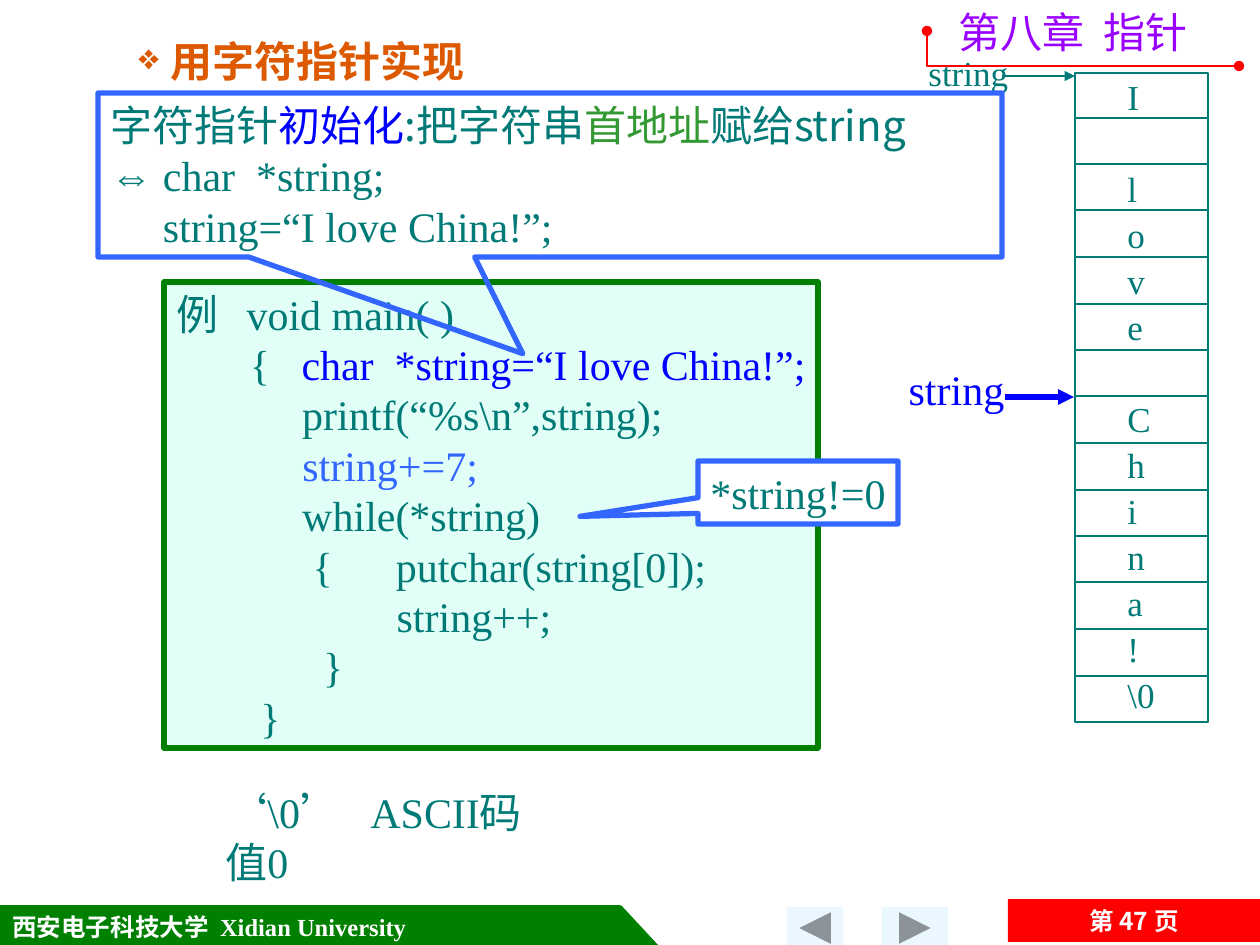
from lxml import etree
from pptx import Presentation, util as u
from pptx.dml.color import RGBColor
from pptx.enum import shapes, text
from pptx.oxml.ns import qn

PX = 914400 / 126
COLORS = {
    "teal": "007A77", "blue": "0000FF", "sky": "3366FF", "green": "008000",
    "leaf": "339933", "mint": "E1FFF7", "ice": "EBF7FF", "red": "FF0000",
    "orange": "DC5900", "purple": "9900FF", "white": "FFFFFF",
}
SERIF, SANS, CJK = "Times New Roman", "Arial", "Noto Sans CJK SC"
SHAPE, ALIGN, ANCHOR = shapes.MSO_SHAPE, text.PP_ALIGN, text.MSO_ANCHOR

CODE = [
    [("例   void main( )", "teal")],
    [("       {   ", "teal"), ("char  *string=“I love China!”;", "blue")],
    [("            printf(“%s\\n”,string);", "teal")],
    [("            ", "teal"), ("string+=7;", "sky")],
    [("            while(*string)", "teal")],
    [("             {      putchar(string[0]);", "teal")],
    [("                     string++;", "teal")],
    [("              }", "teal")],
    [("        }", "teal")],
]
INIT_NOTE = [
    [("字符指针", "teal", CJK), ("初始化", "blue", CJK), (":把字符串", "teal", CJK),
     ("首地址", "leaf", CJK), ("赋给string", "teal", CJK)],
    [("⇔", "teal", SANS), (" char  *string;", "teal")],
    [("     string=“I love China!”;", "teal")],
]
MEMORY = list("I love China!") + ["\\0"]


def px(*values):
    return [u.Emu(round(v * PX)) for v in values]


def rgb(name):
    return RGBColor.from_string(COLORS[name])


def format_run(r, color, font=SERIF, size=24, bold=False):
    r.font.size, r.font.bold, r.font.name = u.Pt(size), bold, font
    r.font.color.rgb = rgb(color)
    # Chinese glyphs use the East Asian font slot
    ea = etree.SubElement(r.font._element, qn("a:ea"))
    ea.set("typeface", CJK)


def write(sp, lines, size=24, bold=False, align=ALIGN.LEFT,
          anchor=ANCHOR.TOP, wrap=True):
    """Fill a shape with lines, each a list of (text, color[, font]) runs."""
    tf = sp.text_frame
    tf.word_wrap, tf.vertical_anchor = wrap, anchor
    for i, runs in enumerate(lines):
        p = tf.paragraphs[0] if i == 0 else tf.add_paragraph()
        p.alignment = align
        for content, *style in runs:
            r = p.add_run()
            r.text = content
            format_run(r, *style, size=size, bold=bold)


def add_label(s, box, content, color, font=SERIF, **style):
    write(s.shapes.add_textbox(*px(*box)), [[(content, color, font)]], **style)


def style_shape(sp, fill=None, line=None, width=0.75):
    sp.shadow.inherit = False
    if fill:
        sp.fill.solid()
        sp.fill.fore_color.rgb = rgb(fill)
    else:
        sp.fill.background()
    if line:
        sp.line.color.rgb = rgb(line)
        sp.line.width = u.Pt(width)
    else:
        sp.line.fill.background()


def add_box(s, kind, box, fill=None, line=None, width=0.75, adjust=()):
    sp = s.shapes.add_shape(kind, *px(*box))
    style_shape(sp, fill, line, width)
    for i, value in enumerate(adjust):
        sp.adjustments[i] = value
    return sp


def add_ends(sp, **ends):
    ln = sp.line._get_or_add_ln()
    for tag, kind in ends.items():
        etree.SubElement(ln, qn(f"a:{tag}")).set("type", kind)


def add_line(s, start, end, color="teal", width=0.75, arrow=False):
    c = s.shapes.add_connector(shapes.MSO_CONNECTOR.STRAIGHT, *px(*start, *end))
    c.line.color.rgb = rgb(color)
    c.line.width = u.Pt(width)
    if arrow:
        add_ends(c, tailEnd="triangle")
    etree.SubElement(c._element.spPr, qn("a:effectLst"))


def set_title(s):
    sp = s.shapes.title
    sp.left, sp.top, sp.width, sp.height = px(126, 38, 484, 52)
    tf = sp.text_frame
    tf.text = "用字符指针实现"
    tf.vertical_anchor = ANCHOR.MIDDLE
    tf.margin_top = tf.margin_bottom = 0
    p = tf.paragraphs[0]
    p.alignment, p.line_spacing = ALIGN.LEFT, 0.9
    pPr = p._p.get_or_add_pPr()
    indent = u.Inches(0.25)
    pPr.set("marL", str(indent))
    pPr.set("indent", str(-indent))
    color = etree.SubElement(pPr, qn("a:buClr"))
    etree.SubElement(color, qn("a:srgbClr")).set("val", COLORS["orange"])
    etree.SubElement(pPr, qn("a:buSzPct")).set("val", "85000")
    etree.SubElement(pPr, qn("a:buChar")).set("char", "❖")
    format_run(p.runs[0], "orange", SANS, bold=True)


def add_footer(s):
    bar = add_box(s, SHAPE.RECTANGLE, (0, 906, 620, 42), "green", "green")
    write(bar, [[("西安电子科技大学  Xidian University", "white")]],
          size=14, bold=True, anchor=ANCHOR.MIDDLE)
    add_box(s, SHAPE.RIGHT_TRIANGLE, (621, 906, 39, 42), "green", "green")
    # Page buttons: back is the forward button turned round
    for box, turn in (((882, 907, 66, 42), 0), ((787, 907, 56, 42), 180)):
        button = add_box(s, SHAPE.ACTION_BUTTON_FORWARD_OR_NEXT, box, "ice")
        button.rotation = turn
    page = add_box(s, SHAPE.RECTANGLE, (1008, 899, 252, 43), "red")
    write(page, [[("第 47 页", "white", CJK)]], size=14, bold=True,
          align=ALIGN.CENTER, anchor=ANCHOR.MIDDLE)


def add_memory(s):
    left, right, top, step = 1075, 1208, 73, 46.5
    add_box(s, SHAPE.RECTANGLE, (left, top, right - left, 649), line="teal")
    for i, char in enumerate(MEMORY):
        if i:
            y = round(top - 2 + i * step)
            add_line(s, (left, y), (right, y))
        if char != " ":
            add_label(s, (1115, 69 + 46 * i, 70, 55), char, "teal", size=20)
    # Pointer before and after the increment
    add_label(s, (916, 45, 105, 55), "string", "teal", size=20, wrap=False)
    add_line(s, (1002, 76), (left, 76), arrow=True)
    add_label(s, (896, 357, 121, 63), "string", "blue", wrap=False,
              align=ALIGN.CENTER, anchor=ANCHOR.MIDDLE)
    add_line(s, (1005, 397), (1074, 397), "blue", 3, arrow=True)


def add_chapter(s):
    add_label(s, (946, 0, 277, 63), "第八章  指针", "purple", CJK, wrap=False)
    fb = s.shapes.build_freeform(927, 31, scale=PX)
    fb.add_line_segments([(927, 66), (1239, 66)], close=False)
    rule = fb.convert_to_shape()
    style_shape(rule, line="red", width=1.5)
    add_ends(rule, headEnd="oval", tailEnd="oval")


def main():
    prs = Presentation()
    prs.slide_width, prs.slide_height = px(1260, 945)
    s = prs.slides.add_slide(prs.slide_layouts[5])
    set_title(s)
    add_footer(s)

    # Program listing
    code = add_box(s, SHAPE.RECTANGLE, (164, 282, 654, 466), "mint", "green", 3)
    write(code, CODE, wrap=False)

    add_memory(s)

    # Callouts
    note = add_box(s, SHAPE.RECTANGULAR_CALLOUT, (98, 93, 904, 164),
                   line="sky", width=3, adjust=(-0.03, 1.09))
    write(note, INIT_NOTE, anchor=ANCHOR.MIDDLE)
    test = add_box(s, SHAPE.RECTANGULAR_CALLOUT, (698, 461, 200, 63),
                   "white", "sky", 3, (-1.09, 0.38))
    write(test, [[("*string!=0", "teal")]], align=ALIGN.CENTER,
          anchor=ANCHOR.MIDDLE, wrap=False)

    add_chapter(s)
    add_label(s, (213, 780, 338, 113), "‘\\0’   ASCII码值0", "teal")
    prs.save("out.pptx")


if __name__ == "__main__":
    main()
